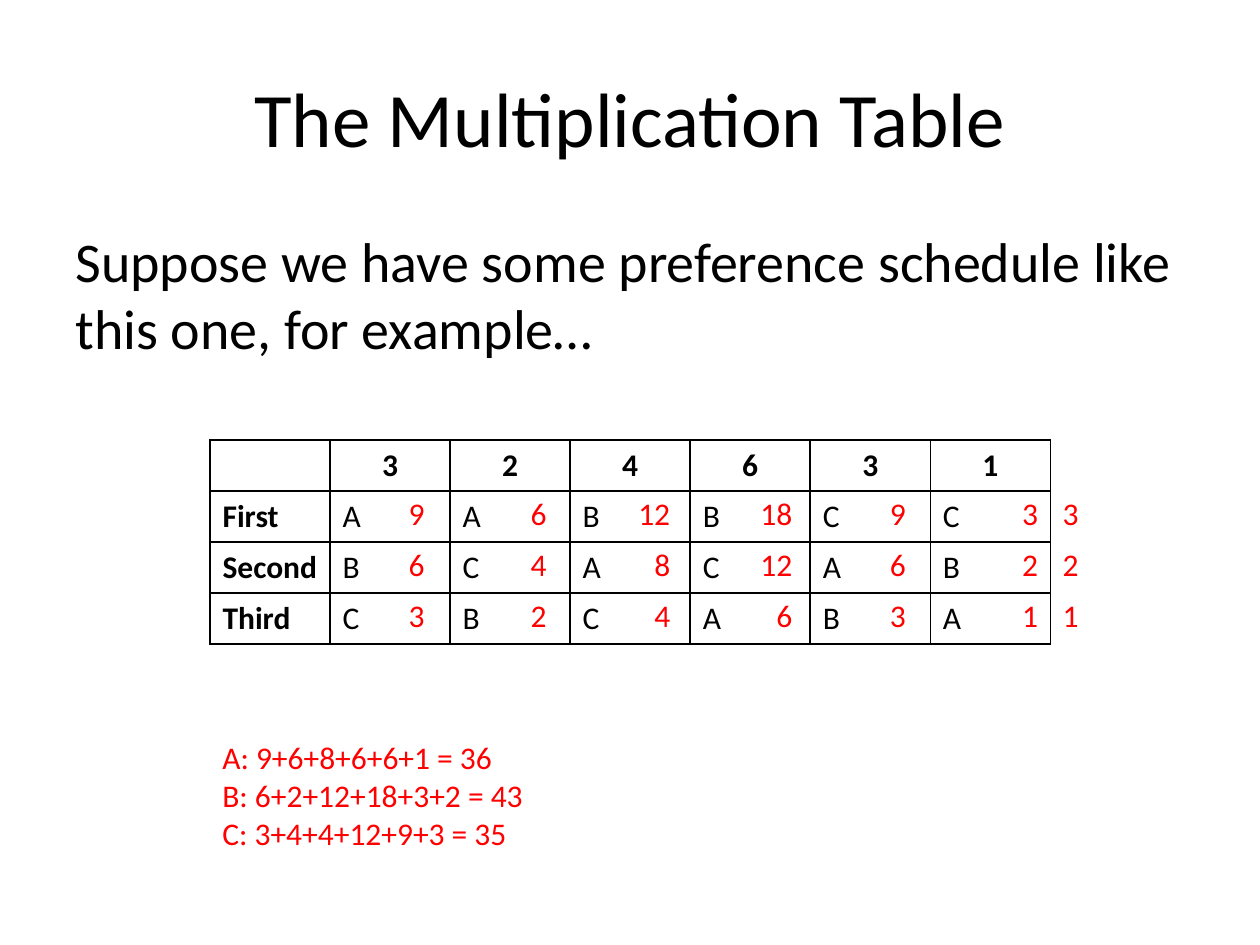
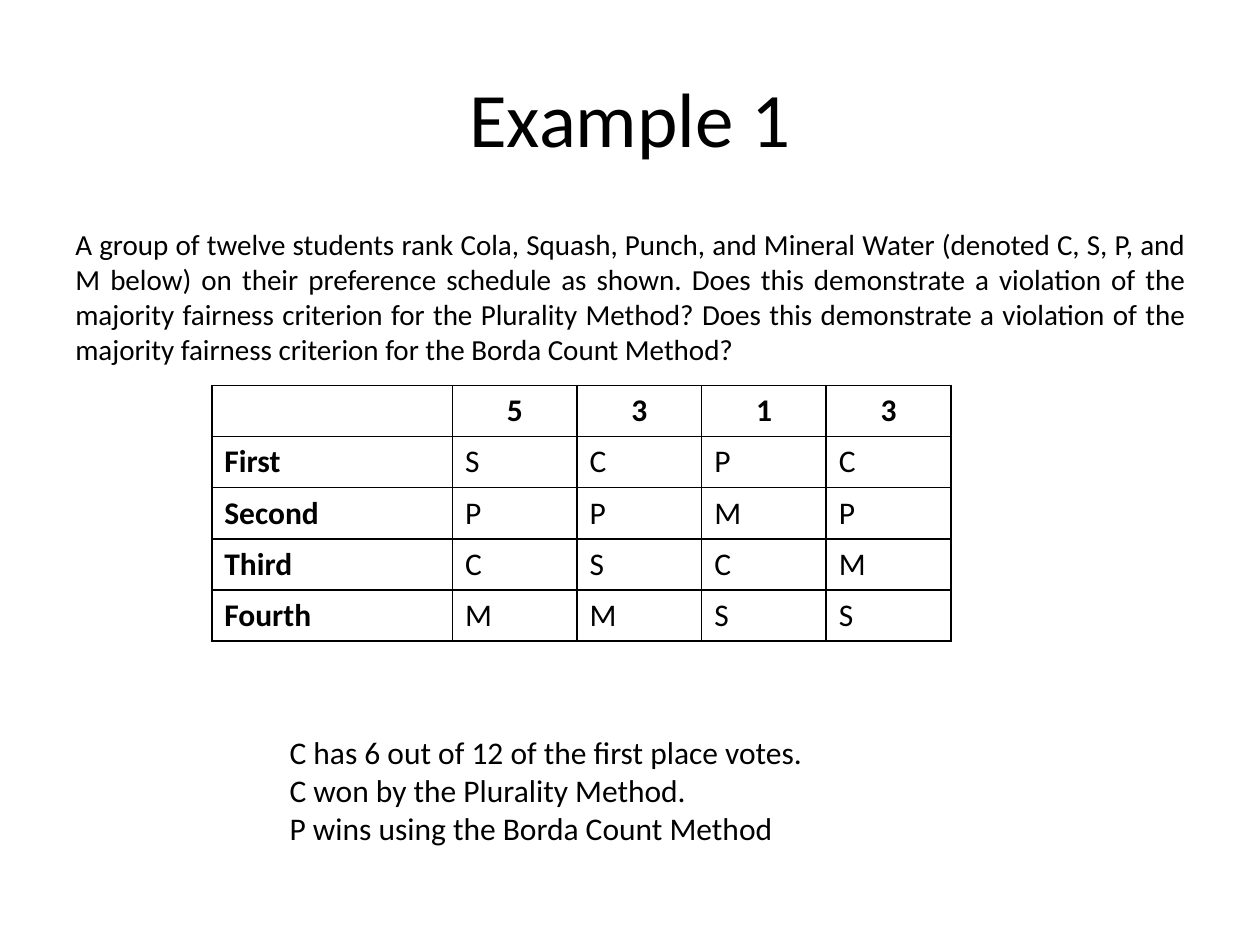
from dataclasses import dataclass

from lxml.etree import SubElement
from pptx import Presentation
from pptx.dml.color import RGBColor
from pptx.enum.text import MSO_ANCHOR as Anchor, PP_ALIGN as Align
from pptx.oxml.ns import qn
from pptx.util import Pt


@dataclass(frozen=True)
class Theme:
    font: str = "Calibri"
    ink: str = "000000"
    accent: str = "FF0000"
    title_size: float = 44
    lead_size: float = 32
    question_size: float = 16.6
    text_size: float = 18
    row_height: float = 29.2
    border: float = 1


THEME = Theme()


def write_text(frame, text, size=THEME.text_size, color=THEME.ink, bold=False, align=Align.LEFT):
    for index, line in enumerate(text.split("\n")):
        para = frame.add_paragraph() if index else frame.paragraphs[0]
        para.alignment = align
        if line:
            span = para.add_run()
            span.text = line
            span.font.name = THEME.font
            span.font.size = Pt(size)
            span.font.bold = bold
            span.font.color.rgb = RGBColor.from_string(color)


class SlideBuilder:
    def __init__(self, deck, theme):
        self.deck = deck
        self.theme = theme
        self.page = None

    def start(self, title):
        self.page = self.deck.slides.add_slide(self.deck.slide_layouts[5])
        box = self.page.shapes.title
        box.left, box.top, box.width, box.height = Pt(36), Pt(21.6), Pt(648), Pt(90)
        box.text_frame.vertical_anchor = Anchor.MIDDLE
        write_text(box.text_frame, title, size=self.theme.title_size, align=Align.CENTER)

    def text(self, left, top, width, height, text, **style):
        box = self.page.shapes.add_textbox(Pt(left), Pt(top), Pt(width), Pt(height))
        box.text_frame.word_wrap = True
        write_text(box.text_frame, text, **style)

    def set_borders(self, cell, visible):
        properties = cell._tc.get_or_add_tcPr()
        for edge in ("lnL", "lnR", "lnT", "lnB"):
            line = SubElement(properties, qn(f"a:{edge}"), w=str(Pt(self.theme.border)))
            if visible:
                fill = SubElement(line, qn("a:solidFill"))
                SubElement(fill, qn("a:srgbClr"), val=self.theme.ink)
            else:
                SubElement(line, qn("a:noFill"))

    def table(self, left, top, widths, rows, bordered=False, style_at=None, **style):
        height = self.theme.row_height
        table = self.page.shapes.add_table(
            len(rows), len(widths), Pt(left), Pt(top), Pt(sum(widths)), Pt(height * len(rows))
        ).table
        table.first_row = table.horz_banding = False
        for column, width in zip(table.columns, widths):
            column.width = Pt(width)
        for row_index, values in enumerate(rows):
            table.rows[row_index].height = Pt(height)
            for column_index, value in enumerate(values):
                cell = table.cell(row_index, column_index)
                self.set_borders(cell, bordered)
                cell.fill.background()
                cell_style = style_at(row_index, column_index) if style_at else style
                write_text(cell.text_frame, str(value), **cell_style)

    def schedule(self, left, top, widths, voters, ballots):
        def style_at(row, column):
            return {
                "bold": row == 0 or column == 0,
                "align": Align.CENTER if row == 0 else Align.LEFT,
            }

        places = ("First", "Second", "Third", "Fourth")
        rows = [["", *voters]]
        rows += [[place, *choices] for place, choices in zip(places, zip(*ballots))]
        self.table(left, top, widths, rows, bordered=True, style_at=style_at)


def add_multiplication_slide(builder):
    voters = (3, 2, 4, 6, 3, 1)
    ballots = ("ABC", "ACB", "BAC", "BCA", "CAB", "CBA")
    weights = (3, 2, 1)
    scores = [[weight * count for count in voters] for weight in weights]
    totals = []
    for candidate in "ABC":
        points = [
            weights[ballot.index(candidate)] * count for ballot, count in zip(ballots, voters)
        ]
        totals.append(f"{candidate}: {'+'.join(map(str, points))} = {sum(points)}")

    accent = builder.theme.accent
    builder.start("The Multiplication Table")
    builder.text(
        36, 126, 648, 356.4,
        "Suppose we have some preference schedule like this one, for example…",
        size=builder.theme.lead_size,
    )
    builder.schedule(120, 251.3, [68.6] * 7, voters, ballots)
    builder.table(600, 279.7, [105], [[weight] for weight in weights], color=accent)
    builder.table(
        183.4, 279.4, [66.4, 69.8, 70.6, 69.8, 64.8, 75.6], scores,
        color=accent, align=Align.RIGHT,
    )
    builder.text(120, 418.3, 291, 72.7, "\n".join(totals), color=accent)


def add_example_slide(builder):
    builder.start("Example 1")
    builder.text(
        36, 126, 648, 90,
        "A group of twelve students rank Cola, Squash, Punch, and Mineral Water "
        "(denoted C, S, P, and M below) on their preference schedule as shown. "
        "Does this demonstrate a violation of the majority fairness criterion for the "
        "Plurality Method? Does this demonstrate a violation of the majority fairness "
        "criterion for the Borda Count Method?",
        size=builder.theme.question_size, align=Align.JUSTIFY,
    )
    builder.schedule(
        121, 220.3, [137.6] + [71.2] * 4, (5, 3, 1, 3), ("SPCM", "CPSM", "PMCS", "CPMS")
    )
    builder.text(
        158.4, 415.4, 360, 72.7,
        "C has 6 out of 12 of the first place votes.\n"
        "C won by the Plurality Method.\n"
        "P wins using the Borda Count Method",
    )


def main():
    deck = Presentation()
    deck.slide_width, deck.slide_height = Pt(720), Pt(540)
    builder = SlideBuilder(deck, THEME)
    add_multiplication_slide(builder)
    add_example_slide(builder)
    deck.save("out.pptx")


if __name__ == "__main__":
    main()
